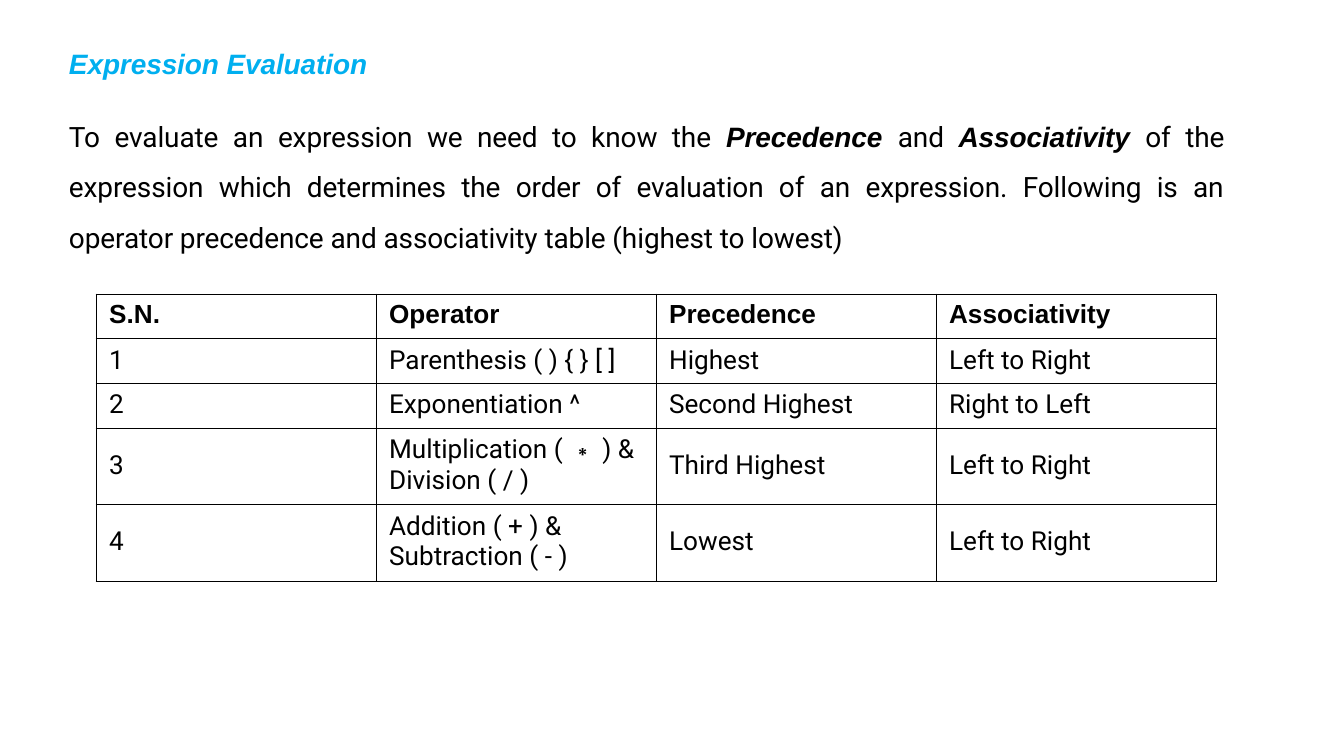
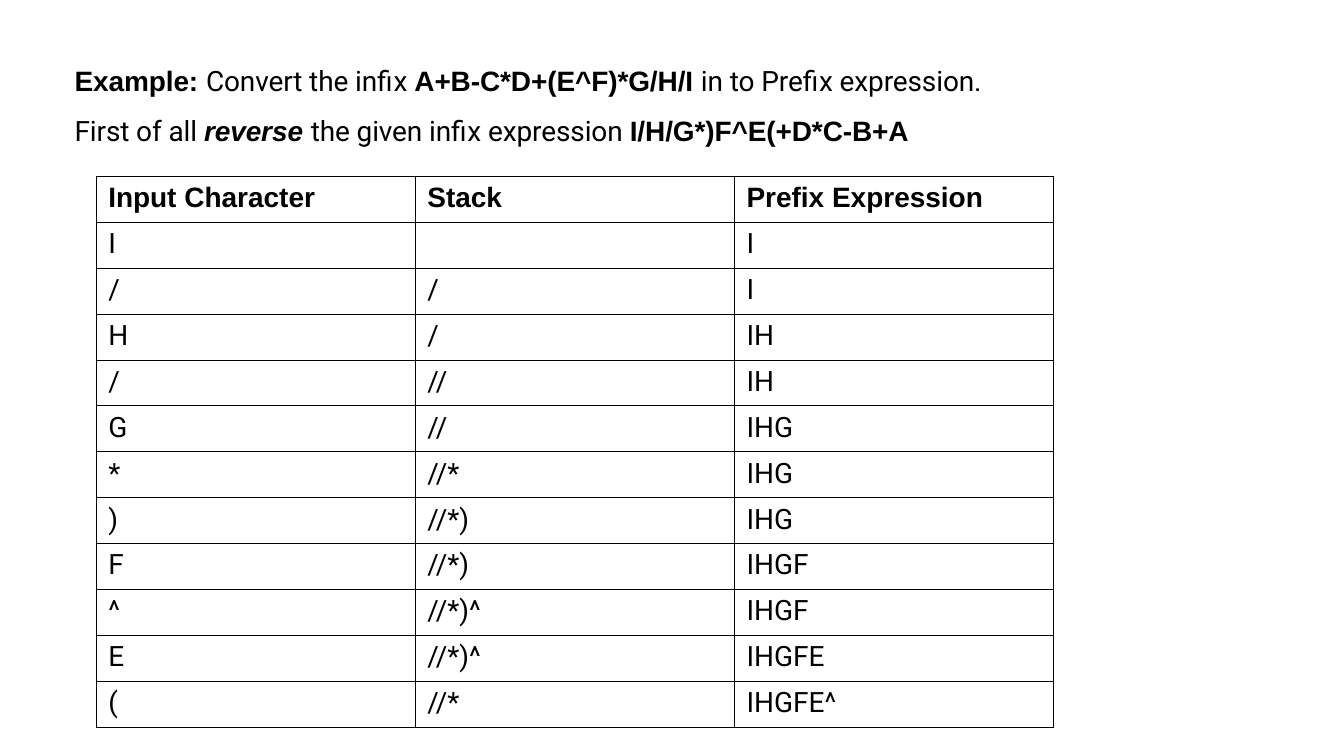
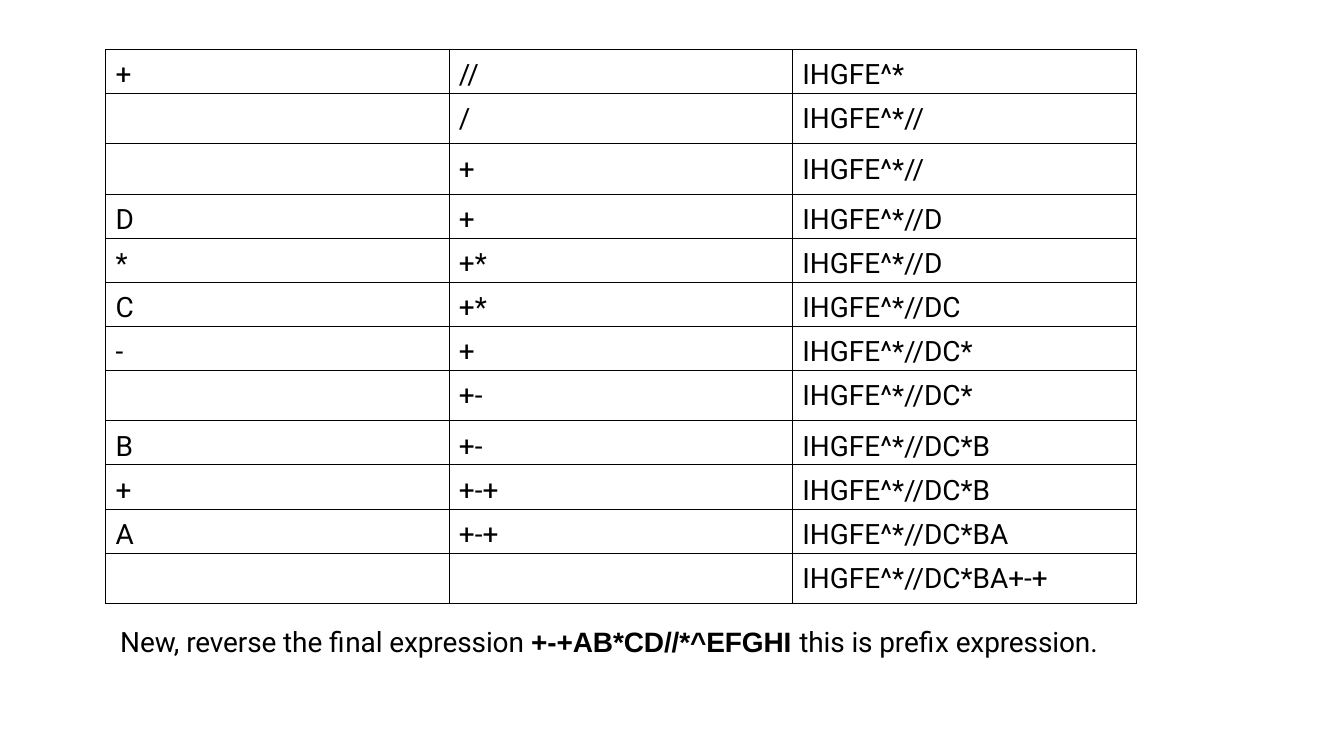
from lxml import etree
from pptx import Presentation
from pptx.dml.color import RGBColor
from pptx.enum.text import MSO_AUTO_SIZE, PP_ALIGN
from pptx.oxml.ns import qn
from pptx.util import Pt

BLACK = RGBColor(0x00, 0x00, 0x00)
SKY = RGBColor(0x00, 0xAF, 0xEF)
JUSTIFY = PP_ALIGN.JUSTIFY
FIT_SHAPE = MSO_AUTO_SIZE.SHAPE_TO_FIT_TEXT

BODY, STRONG_FONT, SYMBOL_FONT = "Roboto", "Arial", "Times New Roman"
BOLD = dict(font=STRONG_FONT, bold=True)
KEY = dict(BOLD, italic=True)
TITLE = dict(KEY, color=SKY)
SYMBOL = dict(font=SYMBOL_FONT)

PRECEDENCE = [
    ["S.N.", "Operator", "Precedence", "Associativity"],
    ["1", "Parenthesis ( ) { } [ ]", "Highest", "Left to Right"],
    ["2", "Exponentiation ^", "Second Highest", "Right to Left"],
    ["3", [["Multiplication ( ", ("∗ ", SYMBOL), ") &"], ["Division ( / )"]],
     "Third Highest", "Left to Right"],
    ["4", "Addition ( + ) & Subtraction ( - )", "Lowest", "Left to Right"],
]
FIRST_STEPS = [
    ["Input Character", "Stack", "Prefix Expression"],
    ["I", "", "I"],
    ["/", "/", "I"],
    ["H", "/", "IH"],
    ["/", "//", "IH"],
    ["G", "//", "IHG"],
    ["*", "//*", "IHG"],
    [")", "//*)", "IHG"],
    ["F", "//*)", "IHGF"],
    ["^", "//*)^", "IHGF"],
    ["E", "//*)^", "IHGFE"],
    ["(", "//*", "IHGFE^"],
]
LAST_STEPS = [
    ["+", "//", "IHGFE^*"],
    ["", "/", "IHGFE^*//"],
    ["", "+", "IHGFE^*//"],
    ["D", "+", "IHGFE^*//D"],
    ["*", "+*", "IHGFE^*//D"],
    ["C", "+*", "IHGFE^*//DC"],
    ["-", "+", "IHGFE^*//DC*"],
    ["", "+-", "IHGFE^*//DC*"],
    ["B", "+-", "IHGFE^*//DC*B"],
    ["+", "+-+", "IHGFE^*//DC*B"],
    ["A", "+-+", "IHGFE^*//DC*BA"],
    ["", "", "IHGFE^*//DC*BA+-+"],
]


def write(p, text, size=15, font=BODY, color=BLACK, bold=False, italic=False, spacing=0):
    """Add one formatted run; spacing is in hundredths of a point."""
    r = p.add_run()
    r.text = text
    f = r.font
    f.size, f.name, f.bold, f.italic = Pt(size), font, bold, italic
    f.color.rgb = color
    if spacing:
        r._r.get_or_add_rPr().set("spc", str(spacing))


def write_runs(p, runs, **fmt):
    """Write plain strings and (text, format) pairs into a paragraph."""
    for run in runs:
        text, own = (run, {}) if isinstance(run, str) else run
        write(p, text, **{**fmt, **own})


def paragraphs(tf, count):
    """Yield the first paragraph of a text frame and then new ones."""
    yield tf.paragraphs[0]
    for _ in range(count - 1):
        yield tf.add_paragraph()


def set_margins(target, left, top):
    """Set left and top insets and clear the other two."""
    target.margin_left, target.margin_top = Pt(left), Pt(top)
    target.margin_right = target.margin_bottom = 0


def add_text(s, left, top, width, height, lines, inset=1, align=None):
    """Add a text box from (runs, space before, line spacing) lines."""
    tf = s.shapes.add_textbox(Pt(left), Pt(top), Pt(width), Pt(height)).text_frame
    tf.word_wrap = True
    tf.auto_size = FIT_SHAPE
    set_margins(tf, 1, inset)
    for p, (runs, before, spacing) in zip(paragraphs(tf, len(lines)), lines):
        p.alignment, p.space_before, p.line_spacing = align, Pt(before), spacing
        write_runs(p, runs, spacing=-5)


def add_borders(cell, width=0.5):
    """Draw black lines on all four sides of a cell."""
    tcPr = cell._tc.get_or_add_tcPr()
    for side in ("a:lnL", "a:lnR", "a:lnT", "a:lnB"):
        ln = etree.SubElement(tcPr, qn(side), w=str(Pt(width)))
        fill = etree.SubElement(ln, qn("a:solidFill"))
        etree.SubElement(fill, qn("a:srgbClr"), val=str(BLACK))


def add_grid(s, left, top, col_width, heights, rows, size=15, indent=7, pad=3,
             pads=None, line=None, header=True):
    """Add an unfilled bordered table; pads overrides the top inset by cell."""
    cols = len(rows[0])
    tbl = s.shapes.add_table(len(rows), cols, Pt(left), Pt(top),
                             Pt(col_width * cols), Pt(sum(heights))).table
    tbl.first_row = tbl.horz_banding = False
    for col in tbl.columns:
        col.width = Pt(col_width)
    for i, (height, row) in enumerate(zip(heights, rows)):
        tbl.rows[i].height = Pt(height)
        for j, content in enumerate(row):
            cell = tbl.cell(i, j)
            add_borders(cell)
            cell.fill.background()
            before = (pads or {}).get((i, j), pad)
            set_margins(cell, indent, before)
            lines = [[content]] if isinstance(content, str) else content
            fmt = BOLD if header and i == 0 else {}
            for k, p in enumerate(paragraphs(cell.text_frame, len(lines))):
                p.space_before = Pt(0 if k else before)
                p.line_spacing = line
                write_runs(p, lines[k], size=size, **fmt)
    return tbl


def precedence_slide(s):
    """Build the operator precedence slide."""
    body = ["To evaluate an expression we need to know the ", ("Precedence ", KEY),
            "and ", ("Associativity ", KEY),
            "of the expression which determines the order of evaluation of an "
            "expression. Following is an operator precedence and associativity "
            "table (highest to lowest)"]
    add_text(s, 36, 24, 620, 113,
             [([("Expression Evaluation", TITLE)], 1, None), (body, 12, 1.5)],
             align=JUSTIFY)
    centred = {(i, j): 11.6 for i in (3, 4) for j in (0, 2, 3)}
    add_grid(s, 51.5, 157.5, 150, [24] * 3 + [41] * 2, PRECEDENCE,
             size=14, pad=3.2, pads=centred)


def example_slide(s):
    """Build the slide with the first conversion steps."""
    task = [("Example: ", BOLD), "Convert the infix ", ("A+B-C*D+(E^F)*G/H/I ", BOLD),
            "in to Prefix expression."]
    reverse = ["First of all ", ("reverse ", KEY), "the given infix expression ",
               ("I/H/G*)F^E(+D*C-B+A", BOLD)]
    add_text(s, 39, 24, 492.5, 56, [(task, 9.9, None), (reverse, 9, None)], inset=9.9)
    tbl = add_grid(s, 51.5, 94.5, 171, [24.6] * 12, FIRST_STEPS, indent=6.5)
    right = tbl.cell(1, 2)._tc.tcPr.find(qn("a:lnR"))
    right.set("w", str(Pt(1)))


def result_slide(s):
    """Build the slide with the last steps and the answer."""
    answer = ["New, reverse the final expression ", ("+-+AB*CD//*^EFGHI ", BOLD),
              "this is prefix expression."]
    add_text(s, 63.4, 333.4, 532, 20, [(answer, 1, None)])
    add_grid(s, 56.6, 26.5, 184, [23.65] * 12, LAST_STEPS, indent=5.3, pad=5.3,
             line=Pt(17.4), header=False)


def main():
    """Build and save the three slides."""
    prs = Presentation()
    prs.slide_width, prs.slide_height = Pt(720), Pt(405)
    for build in (precedence_slide, example_slide, result_slide):
        build(prs.slides.add_slide(prs.slide_layouts[6]))
    prs.save("out.pptx")


if __name__ == "__main__":
    main()
